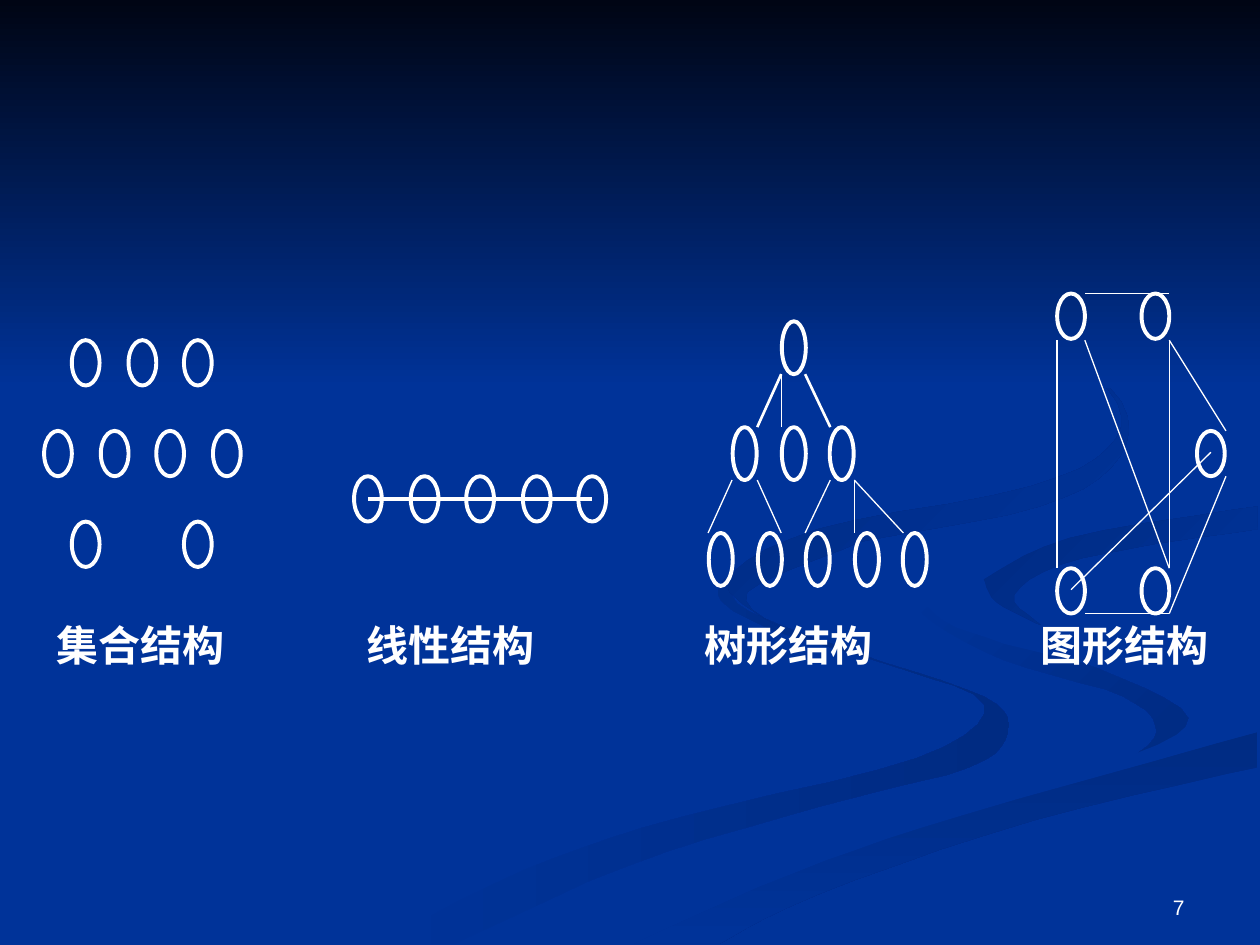
"""Build a slide comparing set, linear, tree and graph data structures."""
from dataclasses import dataclass

from lxml import etree
from pptx import Presentation
from pptx.dml.color import RGBColor
from pptx.enum.shapes import MSO_CONNECTOR, MSO_SHAPE
from pptx.enum.text import MSO_ANCHOR, PP_ALIGN
from pptx.oxml.ns import qn
from pptx.util import Pt

STRAIGHT = MSO_CONNECTOR.STRAIGHT
ELLIPSE = MSO_SHAPE.OVAL
RECTANGLE = MSO_SHAPE.RECTANGLE
TOP, BOTTOM = MSO_ANCHOR.TOP, MSO_ANCHOR.BOTTOM
RIGHT, JUSTIFY = PP_ALIGN.RIGHT, PP_ALIGN.JUSTIFY
EMU_PER_PX = 9144
CURVE_STEPS = 5


@dataclass(frozen=True)
class Theme:
    """Colours, fonts and sizes of the slide."""
    blue: str = "003399"
    shade: str = "002B82"
    night: str = "000514"
    ink: str = "FFFFFF"
    label_font: str = "Times New Roman"
    number_font: str = "Arial"
    label_size: int = 24
    number_size: int = 12
    thick: float = 2.25
    medium: float = 1.5
    thin: float = 0.75


THEME = Theme()
NODE = (22, 36)
TREE_NODE = (19, 42)
PITCH = 44.6
TREE_PITCH = 38.6

FADE_IN = (THEME.blue, THEME.shade)
FADE_OUT = (THEME.shade, THEME.blue)
PLAIN = (THEME.blue, THEME.blue)
LOWER_EDGE = [(998, 581), (764, 647), (630, 693), (503, 749)]

RIBBONS = [
    (FADE_IN, 0, [
        [(575, 459), (572, 476), (611, 499), (697, 525), (781, 559), (727, 602),
         (539, 649), (417, 690), (300, 749)],
        [(361, 749), (499, 687), (651, 640), (769, 609), (800, 581), (781, 553),
         (682, 519), (594, 485), (575, 459)]]),
    (FADE_IN, 45, [
        [(724, 464), (758, 498), (870, 530), (943, 570), (894, 605)],
        [(894, 605), (918, 581), (892, 553), (797, 524), (733, 488), (724, 464)]]),
    (FADE_OUT, 90, [[(571, 749), (649, 710), (821, 651), (998, 609)], LOWER_EDGE]),
    (PLAIN, 0, [
        [(477, 749), (619, 684), (843, 618), (943, 575), (905, 540), (775, 503),
         (725, 464), (770, 427), (874, 408), (999, 387)],
        [(999, 402), (835, 430), (781, 463), (817, 492), (999, 538)], LOWER_EDGE]),
    (FADE_OUT, 45, [
        [(781, 460), (791, 478), (826, 496)],
        [(826, 496), (805, 472), (859, 443), (998, 420)],
        [(998, 402), (849, 427), (781, 460)]]),
    (FADE_OUT, 45, [
        [(683, 430), (825, 402), (889, 362), (880, 307), (762, 233)],
        [(762, 233), (870, 299), (886, 348), (818, 386), (649, 420), (577, 462), (622, 500)],
        [(622, 500), (593, 470), (683, 430)]]),
]

SET_ROWS = [(288, 68, 3, 1), (360, 46, 4, 1), (432, 68, 2, 2)]
TREE_ROWS = [(276, 630, 1, 1), (360, 591, 3, 1), (444, 572, 5, 1)]
TREE_BRANCHES = [(297, 639, 659), (297, 620, 601)]
TREE_TWIGS = [(297, 620, 620), (381, 678, 717), (381, 678, 678),
              (381, 659, 639), (381, 601, 620), (381, 581, 562)]
GRAPH_ROWS = [(251, 850, 2, 1.5), (360, 961, 1, 1), (469, 850, 2, 1.5)]
UPPER_LEFT, UPPER_RIGHT = (861, 270), (928, 270)
LOWER_RIGHT, CORNER = (928, 451), (928, 487)
GRAPH_EDGES = [
    ((861, 233), (928, 233)), ((861, 487), CORNER), (UPPER_RIGHT, LOWER_RIGHT),
    (UPPER_LEFT, LOWER_RIGHT), (UPPER_RIGHT, (973, 342)), ((973, 378), CORNER),
    ((839, 270), (839, 451)), ((850, 468), (961, 359))]
LABELS = [(35, "集合结构"), (281, "线性结构"), (549, "树形结构"), (816, "图形结构")]


def emu(px):
    """Turn px into EMU."""
    return round(px * EMU_PER_PX)


def rgb(value):
    """Turn a hex string into a colour."""
    return RGBColor.from_string(value)


def smooth(knots):
    """Trace a Catmull-Rom curve through the knots."""
    padded = [knots[0], *knots, knots[-1]]
    points = [knots[0]]
    for before, start, end, after in zip(padded, padded[1:], padded[2:], padded[3:]):
        for step in range(1, CURVE_STEPS + 1):
            t = step / CURVE_STEPS
            points.append(tuple(
                b + t / 2 * (c - a + t * (2 * a - 5 * b + 4 * c - d
                                          + t * (3 * b - a - 3 * c + d)))
                for a, b, c, d in zip(before, start, end, after)))
    return points


class Painter:
    """Hold the theme and the page, and draw each kind of element."""

    def __init__(self, page, theme):
        """Keep the page and theme and paint the background."""
        self.shapes, self.theme = page.shapes, theme
        page.background.fill.solid()
        page.background.fill.fore_color.rgb = rgb(theme.blue)

    def shade(self, shape, colors, angle):
        """Fill a shape with a two-colour gradient and no outline."""
        shape.shadow.inherit = False
        shape.line.fill.background()
        shape.fill.gradient()
        shape.fill.gradient_angle = -angle % 360
        for stop, color, position in zip(shape.fill.gradient_stops, colors, (0, 1)):
            stop.color.rgb = rgb(color)
            stop.position = position

    def ribbon(self, colors, angle, sides):
        """Draw a shaded outline with curved sides."""
        points = [point for side in sides for point in smooth(side)]
        builder = self.shapes.build_freeform(*points[0], scale=EMU_PER_PX)
        builder.add_line_segments(points[1:], close=True)
        self.shade(builder.convert_to_shape(), colors, angle)

    def band(self, frame, colors, angle):
        """Draw a shaded rectangle."""
        self.shade(self.shapes.add_shape(RECTANGLE, *map(emu, frame)), colors, angle)

    def node(self, x, y, size):
        """Draw an open ellipse around a centre."""
        width, height = size
        frame = map(emu, (x - width / 2, y - height / 2, width, height))
        shape = self.shapes.add_shape(ELLIPSE, *frame)
        shape.shadow.inherit = False
        shape.fill.background()
        shape.line.color.rgb = rgb(self.theme.ink)
        shape.line.width = Pt(self.theme.thick)

    def node_rows(self, rows, pitch, size):
        """Draw rows of evenly spaced nodes."""
        for y, left, count, stride in rows:
            for index in range(count):
                self.node(round(left + index * stride * pitch), y, size)

    def edges(self, ends, weight):
        """Draw straight lines of one weight."""
        for start, end in ends:
            line = self.shapes.add_connector(STRAIGHT, *map(emu, (*start, *end)))
            line.line.color.rgb = rgb(self.theme.ink)
            line.line.width = Pt(weight)
            etree.SubElement(line._element.spPr, qn("a:effectLst"))

    def tree_edges(self, branches, weight):
        """Draw lines from one tree level down to the next."""
        height = TREE_NODE[1]
        self.edges([((x, y), (foot, y + height)) for y, x, foot in branches], weight)

    def text(self, words, frame, align, anchor, **style):
        """Write one paragraph in a box."""
        box = self.shapes.add_textbox(*map(emu, frame)).text_frame
        box.word_wrap, box.vertical_anchor = True, anchor
        para = box.paragraphs[0]
        para.alignment = align
        span = para.add_run()
        span.text = words
        for name, value in style.items():
            setattr(span.font, name, value)
        span.font.color.rgb = rgb(self.theme.ink)


def main():
    """Build and save the deck."""
    deck = Presentation()
    deck.slide_width, deck.slide_height = emu(1000), emu(750)
    painter = Painter(deck.slides.add_slide(deck.slide_layouts[6]), THEME)
    for colors, angle, sides in RIBBONS:
        painter.ribbon(colors, angle, sides)
    painter.band((0, 0, 1000, 308), (THEME.night, THEME.blue), 90)
    painter.text("7", (717, 683, 233, 52), RIGHT, BOTTOM,
                 name=THEME.number_font, size=Pt(THEME.number_size))
    painter.node_rows([(396, 292, 5, 1)], PITCH, NODE)
    painter.edges([((292, 396), (470, 396))], THEME.thick)
    painter.node_rows(TREE_ROWS, TREE_PITCH, TREE_NODE)
    painter.tree_edges(TREE_BRANCHES, THEME.medium)
    painter.tree_edges(TREE_TWIGS, THEME.thin)
    painter.node_rows(GRAPH_ROWS, PITCH, NODE)
    painter.edges(GRAPH_EDGES, THEME.thin)
    painter.node_rows(SET_ROWS, PITCH, NODE)
    label_style = {"name": THEME.label_font, "size": Pt(THEME.label_size), "bold": True}
    for left, words in LABELS:
        painter.text(words, (left, 487, 156, 109), JUSTIFY, TOP, **label_style)
    deck.save("out.pptx")


if __name__ == "__main__":
    main()
